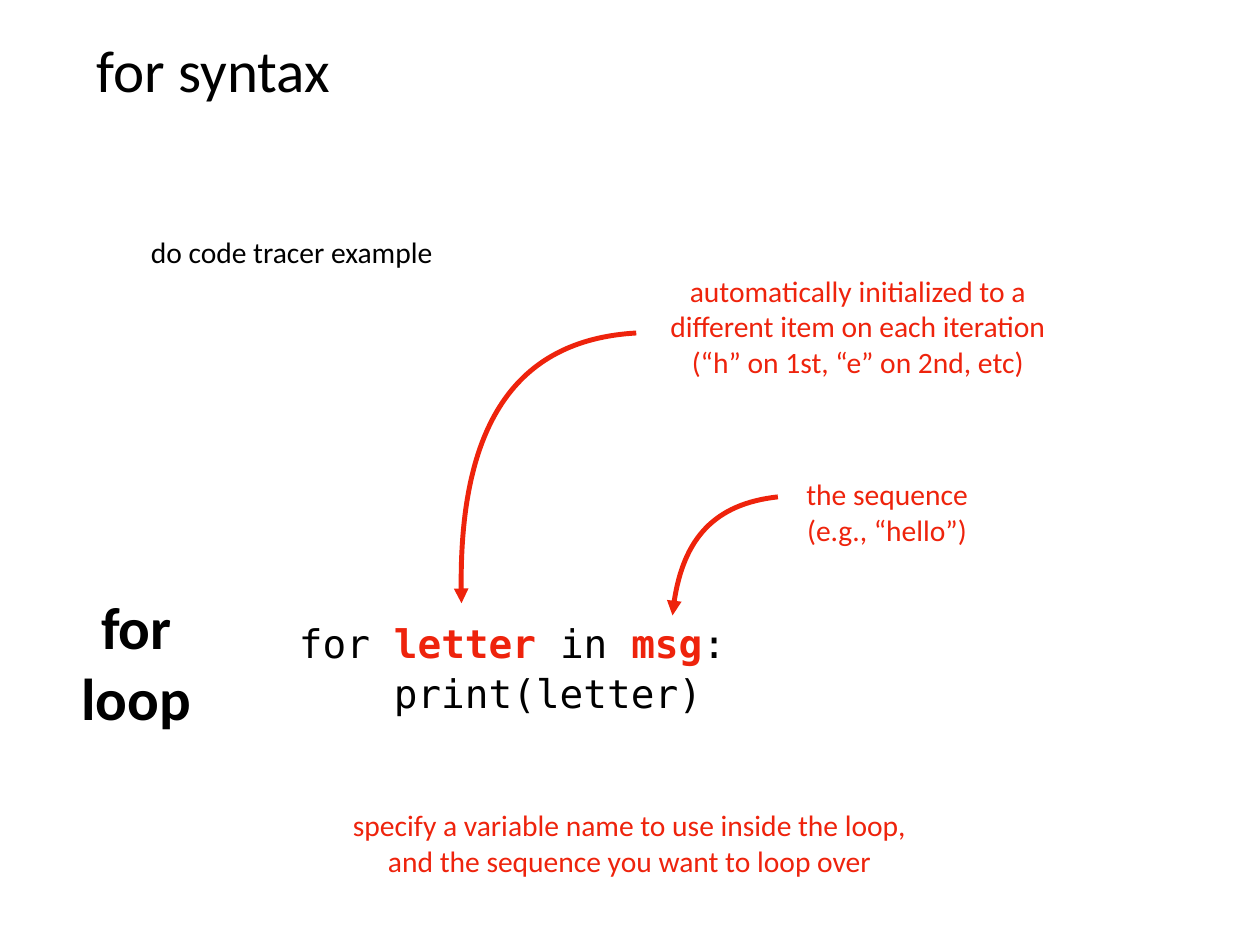
from lxml.etree import SubElement
from pptx import Presentation
from pptx.dml.color import RGBColor
from pptx.enum.text import MSO_ANCHOR, PP_ALIGN
from pptx.oxml.ns import qn
from pptx.util import Cm, Pt

BLACK = RGBColor(0x00, 0x00, 0x00)
RED = RGBColor(0xEE, 0x23, 0x0C)

TITLE = {"name": "Calibri", "size": Pt(48)}
LABEL = {"name": "Calibri", "size": Pt(48), "bold": True}
NOTE = {"name": "Calibri", "size": Pt(24)}
CODE = {"name": "DejaVu Sans Mono", "size": Pt(32), "bold": False}
INSET = Cm(0.14)
FRAME = {"margin_left": INSET, "margin_right": INSET, "margin_top": INSET, "margin_bottom": INSET}


def apply_format(target, values):
    """Set each attribute named in the dict on the target."""
    for name, value in values.items():
        setattr(target, name, value)


def add_text_frame(slide, box, anchor, wrap):
    """Add a text box and return its formatted frame."""
    frame = slide.shapes.add_textbox(*map(Cm, box)).text_frame
    apply_format(frame, {**FRAME, "vertical_anchor": anchor, "word_wrap": wrap})
    return frame


def add_paragraph(frame, index, alignment):
    """Return the paragraph at the index, adding it after the first."""
    paragraph = frame.add_paragraph() if index else frame.paragraphs[0]
    paragraph.alignment = alignment
    return paragraph


def add_run(paragraph, text, values, color):
    """Add a formatted run to the paragraph."""
    run = paragraph.add_run()
    run.text = text
    apply_format(run.font, values)
    run.font.color.rgb = color


def add_text(slide, box, lines, values, color, alignment=PP_ALIGN.CENTER, wrap=False):
    """Add vertically centred text, one paragraph a line."""
    frame = add_text_frame(slide, box, MSO_ANCHOR.MIDDLE, wrap)
    for index, line in enumerate(lines):
        add_run(add_paragraph(frame, index, alignment), line, values, color)


def add_code(slide, box, lines, highlighted):
    """Add code lines given as lists of pieces, with highlighted names in bold red."""
    frame = add_text_frame(slide, box, MSO_ANCHOR.TOP, True)
    for index, pieces in enumerate(lines):
        paragraph = add_paragraph(frame, index, PP_ALIGN.LEFT)
        if index:
            paragraph.space_before = Pt(1.75)
        for piece in pieces:
            marked = piece in highlighted
            add_run(paragraph, piece, {**CODE, "bold": marked}, RED if marked else BLACK)


def add_curved_arrow(slide, points):
    """Add a red cubic curve through start, two controls and end."""
    start, *others = [(Cm(x), Cm(y)) for x, y in points]
    builder = slide.shapes.build_freeform(*start)
    builder.add_line_segments(others, close=False)
    shape = builder.convert_to_shape()
    shape.shadow.inherit = False
    shape.fill.background()
    shape.line.color.rgb = RED
    shape.line.width = Pt(4)
    properties = shape.element.spPr
    outline = next(properties.iter(qn("a:path")))
    curve = SubElement(outline, qn("a:cubicBezTo"))
    for segment in outline.findall(qn("a:lnTo")):
        curve.append(segment[0])
        outline.remove(segment)
    SubElement(properties.find(qn("a:ln")), qn("a:tailEnd"), type="triangle")


def main():
    """Build the for syntax slide."""
    presentation = Presentation()
    apply_format(presentation, {"slide_width": Cm(36.12), "slide_height": Cm(27.1)})
    slide = presentation.slides.add_slide(presentation.slide_layouts[6])

    add_code(
        slide,
        (8.43, 17.63, 20.8, 2.9),
        [["for ", "letter", " in ", "msg", ":"], ["    print(letter)"]],
        {"letter", "msg"},
    )
    add_text(slide, (2.64, 0.71, 30.84, 2.51), ["for syntax"], TITLE, BLACK, PP_ALIGN.LEFT, True)
    add_text(slide, (1.88, 16.89, 4.06, 4.17), ["for", "loop"], LABEL, BLACK)
    add_text(slide, (3.94, 6.58, 8.84, 1.27), ["do code tracer example"], NOTE, BLACK)

    red_notes = [
        ((9.93, 23.04, 16.23, 2.26),
         ["specify a variable name to use inside the loop,",
          "and the sequence you want to loop over"]),
        ((22.89, 13.54, 5.08, 2.26), ["the sequence", "(e.g., “hello”)"]),
        ((18.95, 7.72, 11.28, 3.25),
         ["automatically initialized to a",
          "different item on each iteration",
          "(“h” on 1st, “e” on 2nd, etc)"]),
    ]
    for box, lines in red_notes:
        add_text(slide, box, lines, NOTE, RED)

    add_curved_arrow(slide, [(22.3, 14.25), (20.47, 14.45), (19.46, 15.6), (19.28, 17.65)])
    add_curved_arrow(slide, [(18.24, 9.55), (14.76, 9.75), (13.08, 12.34), (13.23, 17.3)])
    presentation.save("out.pptx")


if __name__ == "__main__":
    main()
